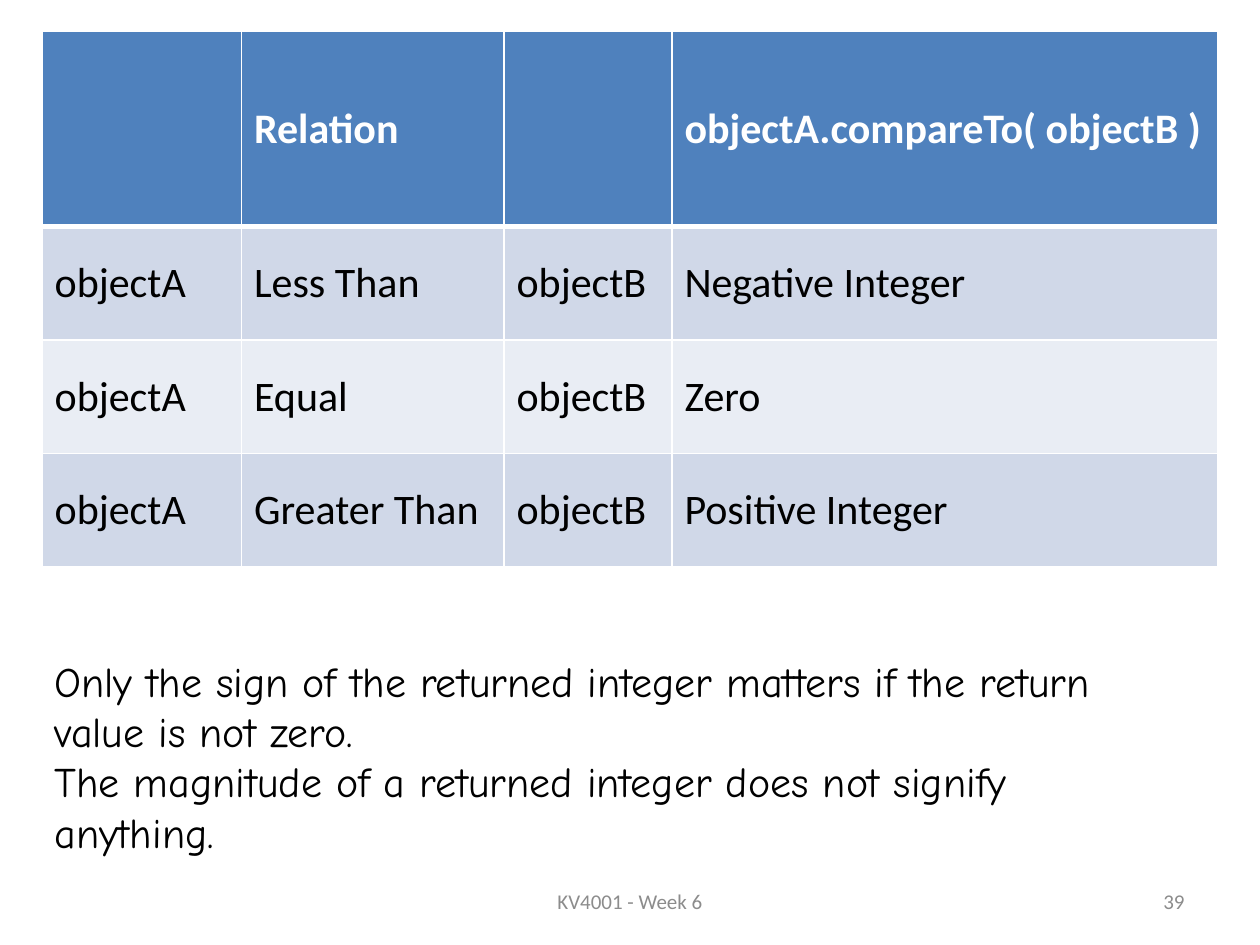
"""Build a slide that explains the results of compareTo."""

from dataclasses import dataclass

from lxml.etree import SubElement
from pptx import Presentation
from pptx.dml.color import RGBColor
from pptx.enum.text import MSO_ANCHOR, PP_ALIGN
from pptx.oxml.ns import qn
from pptx.slide import Slide
from pptx.table import _Cell
from pptx.text.text import _Paragraph
from pptx.util import Pt


@dataclass(frozen=True)
class Theme:
    table_font: str = "Calibri"
    note_font: str = "Comic Neue"
    body_size: float = 24
    footer_size: float = 12
    ink: str = "000000"
    white: str = "FFFFFF"
    footer_ink: str = "8C8C8C"
    header_fill: str = "4F81BD"
    bands: tuple[str, str] = ("D0D8E8", "E9EDF4")
    border: float = 1
    header_border: float = 3


@dataclass(frozen=True)
class TextStyle:
    font: str
    size: float
    color: str
    bold: bool = False


@dataclass(frozen=True)
class TextBox:
    text: str
    left: float
    top: float
    width: float
    height: float
    style: TextStyle
    align: PP_ALIGN = PP_ALIGN.LEFT


THEME = Theme()
NOTE = TextStyle(THEME.note_font, THEME.body_size, THEME.ink)
FOOTER = TextStyle(THEME.table_font, THEME.footer_size, THEME.footer_ink)
HEADING = TextStyle(THEME.table_font, THEME.body_size, THEME.white, True)
ENTRY = TextStyle(THEME.table_font, THEME.body_size, THEME.ink)

BOXES = (
    TextBox(
        "Only the sign of the returned integer matters if the return value is not zero.\n"
        "The magnitude of a returned integer does not signify anything.",
        24, 360, 648, 144, NOTE,
    ),
    TextBox("39", 516, 500.4, 168, 28.8, FOOTER, PP_ALIGN.RIGHT),
    TextBox("KV4001 - Week 6", 246, 500.4, 228, 28.8, FOOTER, PP_ALIGN.CENTER),
)

HEADINGS = ("", "Relation", "", "objectA.compareTo( objectB )")
OUTCOMES = (
    ("Less Than", "Negative Integer"),
    ("Equal", "Zero"),
    ("Greater Than", "Positive Integer"),
)
COLUMN_WIDTHS = (114, 150, 96, 312)
HEADER_HEIGHT = 111.6
ROW_HEIGHT = 64.8
NO_TABLE_STYLE = "{2D5ABB26-0587-4C30-8999-92F81FD0307C}"


def write(paragraph: _Paragraph, text: str, style: TextStyle) -> None:
    paragraph.text = text
    paragraph.font.name = style.font
    paragraph.font.size = Pt(style.size)
    paragraph.font.bold = style.bold
    paragraph.font.color.rgb = RGBColor.from_string(style.color)


def draw_box(page: Slide, item: TextBox) -> None:
    box = page.shapes.add_textbox(
        Pt(item.left), Pt(item.top), Pt(item.width), Pt(item.height)
    )
    frame = box.text_frame
    frame.word_wrap = True
    frame.vertical_anchor = MSO_ANCHOR.MIDDLE
    paragraph = frame.paragraphs[0]
    paragraph.alignment = item.align
    write(paragraph, item.text, item.style)


def draw_borders(cell: _Cell, top: float, bottom: float) -> None:
    properties = cell._tc.get_or_add_tcPr()
    widths = {"lnL": THEME.border, "lnR": THEME.border, "lnT": top, "lnB": bottom}
    for side, width in widths.items():
        line = SubElement(properties, qn(f"a:{side}"), w=str(Pt(width)))
        fill = SubElement(line, qn("a:solidFill"))
        SubElement(fill, qn("a:srgbClr"), val=THEME.white)


def draw_table(page: Slide) -> None:
    rows = [HEADINGS]
    rows += [("objectA", relation, "objectB", result) for relation, result in OUTCOMES]
    heights = [HEADER_HEIGHT] + [ROW_HEIGHT] * len(OUTCOMES)
    frame = page.shapes.add_table(
        len(rows), len(COLUMN_WIDTHS),
        Pt(24), Pt(18), Pt(sum(COLUMN_WIDTHS)), Pt(sum(heights)),
    )
    table = frame.table
    table._tbl.tblPr.find(qn("a:tableStyleId")).text = NO_TABLE_STYLE
    table.horz_banding = False
    for column, width in zip(table.columns, COLUMN_WIDTHS):
        column.width = Pt(width)
    for index, (row, height, texts) in enumerate(zip(table.rows, heights, rows)):
        row.height = Pt(height)
        is_header = index == 0
        fill = THEME.header_fill if is_header else THEME.bands[(index - 1) % 2]
        top = THEME.header_border if index == 1 else THEME.border
        bottom = THEME.header_border if is_header else THEME.border
        for cell, text in zip(row.cells, texts):
            draw_borders(cell, top, bottom)
            cell.fill.solid()
            cell.fill.fore_color.rgb = RGBColor.from_string(fill)
            cell.vertical_anchor = MSO_ANCHOR.MIDDLE
            write(cell.text_frame.paragraphs[0], text, HEADING if is_header else ENTRY)


def main() -> None:
    deck = Presentation()
    deck.slide_width = Pt(720)
    deck.slide_height = Pt(540)
    page = deck.slides.add_slide(deck.slide_layouts[6])
    draw_table(page)
    for item in BOXES:
        draw_box(page, item)
    deck.save("out.pptx")


if __name__ == "__main__":
    main()
